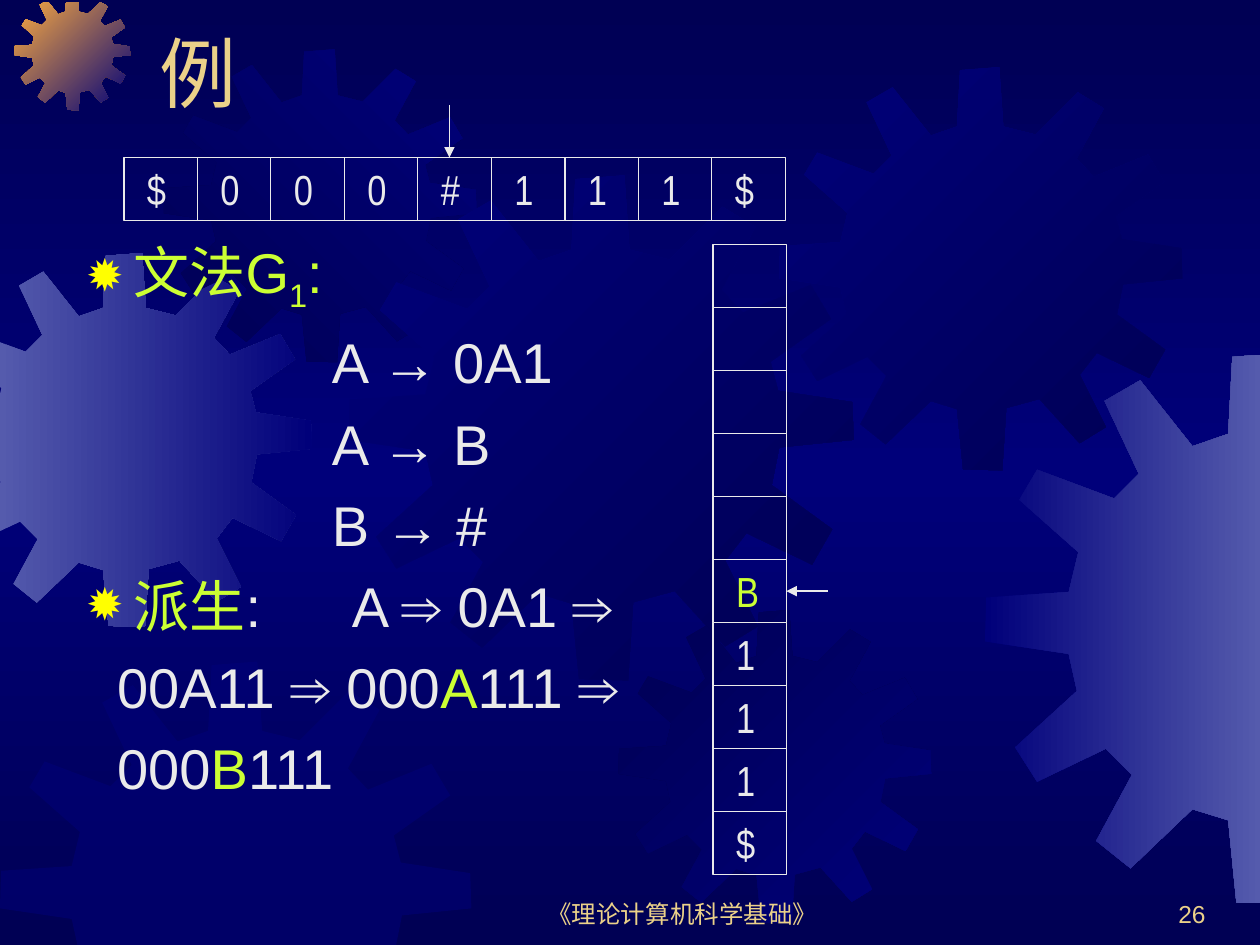
import copy
from dataclasses import dataclass

import pptx
import pptx.dml.color
import pptx.enum.shapes
import pptx.enum.text
import pptx.oxml.ns
import pptx.oxml.xmlchemy
import pptx.util
from lxml import etree

COLORS = {
    "night": "000054", "navy": "00007A", "steel": "555BAD", "amber": "FCAB40",
    "sand": "EBD189", "pale": "EAEAEA", "lime": "CCFF33", "sun": "FFFF00",
}
WIDTH, HEIGHT = pptx.util.Inches(10), pptx.util.Inches(7.5)
UNIT = WIDTH / 120
CELL_W, CELL_H = 7, 6
EDGES = ((0, -0.1, 1), (0, 120.1, -1), (1, 0.2, 1), (1, 90.5, -1))
SPAN = 401
TEETH = (
    (255, 67), (223, 59), (219, 0), (180, 3), (177, 59), (151, 68), (113, 20), (87, 35),
    (112, 88), (94, 106), (38, 85), (25, 107), (68, 145), (61, 174), (1, 178), (0, 210),
    (61, 219), (67, 246), (22, 287), (38, 312), (88, 288), (107, 307), (81, 355), (106, 375),
    (151, 332), (177, 340), (183, 400), (222, 401), (226, 339), (259, 330), (299, 374),
    (325, 358), (299, 306), (316, 284), (368, 309), (384, 281), (336, 246), (342, 216),
    (401, 210), (400, 180), (341, 171), (335, 148), (383, 114), (367, 87), (313, 109),
    (296, 91), (323, 41), (297, 25),
)


@dataclass
class Gear:
    col: float
    row: float
    size: float
    first: str
    last: str = ""
    angle: int = 0


@dataclass
class Line:
    runs: tuple
    indent: float = 0
    bullet: bool = False
    tab: float = 0


GEARS = (
    Gear(-5.9, 24.1, 35.6, "steel", "navy"),
    Gear(1.4, -0.5, 11, "amber", "navy", 45),
    Gear(15.6, 4.7, 29.8, "night", "navy", 315),
    Gear(33.2, 16.7, 48.1, "navy", "night", 45),
    Gear(0, 63, 44.9, "navy"),
    Gear(58.9, 58.1, 29.8, "night", "navy", 45),
    Gear(74.2, 6.4, 38.4, "navy", "night", 45),
    Gear(93.8, 33.6, 52.5, "navy", "steel"),
)
LINES = (
    Line((("文法G", "lime"), ("1", "lime", True), (":", "lime")), bullet=True),
    Line((("A → 0A1", "pale"),), indent=23.4),
    Line((("A → B", "pale"),), indent=23.4),
    Line((("B → #", "pale"),), indent=23.4),
    Line((("派生", "lime"), (":\tA ⇒ 0A1 ⇒", "pale")), bullet=True, tab=25.3),
    Line((("00A11 ⇒ 000", "pale"), ("A", "lime"), ("111 ⇒", "pale")), indent=2.95),
    Line((("000", "pale"), ("B", "lime"), ("111", "pale")), indent=2.95),
)


def grid(*units: float) -> list[int]:
    return [round(unit * UNIT) for unit in units]


def paint(name: str) -> pptx.dml.color.RGBColor:
    return pptx.dml.color.RGBColor.from_string(COLORS[name])


def child(parent, tag: str, **attrs: str):
    node = etree.SubElement(parent, pptx.oxml.ns.qn(f"a:{tag}"))
    for key, value in attrs.items():
        node.set(key, value)
    return node


def write(para, text: str, *, size: float, color: str, font: str = "Arial",
          sub: bool = False) -> None:
    run = para.add_run()
    run.text = text
    run.font.size = pptx.util.Pt(size)
    run.font.name = font
    run.font.color.rgb = paint(color)
    if sub:
        run.font._element.set("baseline", "-25000")


def place(shape, *box: float) -> None:
    shape.left, shape.top, shape.width, shape.height = grid(*box)


def blend(fill, first: str, last: str, angle: int) -> None:
    fill.gradient()
    fill.gradient_angle = -angle % 360
    for stop, name, spot in zip(fill.gradient_stops, (first, last), (0, 1)):
        stop.color.rgb = paint(name)
        stop.position = spot


def backdrop(slide) -> None:
    fill = slide.background.fill
    blend(fill, "night", "navy", 90)
    stops = slide.background._cSld.find(".//" + pptx.oxml.ns.qn("a:gsLst"))
    stops[1].set("pos", "50000")
    final = copy.deepcopy(stops[0])
    final.set("pos", "100000")
    stops.append(final)


def clip(points: list, axis: int, edge: float, sign: int) -> list:
    kept = []
    for here, there in zip(points, points[1:] + points[:1]):
        near, far = sign * (here[axis] - edge), sign * (there[axis] - edge)
        if near >= 0:
            kept.append(here)
        if near * far < 0:
            part = near / (near - far)
            kept.append(tuple(a + part * (b - a) for a, b in zip(here, there)))
    return kept


def draw_gear(shapes, gear: Gear) -> None:
    ratio = gear.size / SPAN
    points = [(gear.col + x * ratio, gear.row + y * ratio) for x, y in TEETH]
    for edge in EDGES:
        points = clip(points, *edge)
    start, *rest = [tuple(grid(*point)) for point in points]
    pen = shapes.build_freeform(*start)
    pen.add_line_segments(rest, close=True)
    shape = pen.convert_to_shape()
    shape.shadow.inherit = False
    shape.line.fill.background()
    if gear.last:
        blend(shape.fill, gear.first, gear.last, gear.angle)
    else:
        shape.fill.solid()
        shape.fill.fore_color.rgb = paint(gear.first)
        tone = shape._element.spPr.find(".//" + pptx.oxml.ns.qn("a:srgbClr"))
        child(tone, "alpha", val="50000")


def draw_cell(shapes, col: float, row: float, text: str, color: str = "pale"):
    cell = shapes.add_shape(pptx.enum.shapes.MSO_SHAPE.RECTANGLE,
                            *grid(col, row, CELL_W, CELL_H))
    cell.shadow.inherit = False
    cell.fill.background()
    cell.line.color.rgb = paint("pale")
    cell.line.width = pptx.util.Pt(0.75)
    if text:
        frame = cell.text_frame
        frame.margin_left, frame.margin_right = grid(2.2, 0)
        frame.vertical_anchor = pptx.enum.text.MSO_ANCHOR.TOP
        para = frame.paragraphs[0]
        para.alignment = pptx.enum.text.PP_ALIGN.LEFT
        write(para, text, size=24, color=color, font="Arial Narrow")
    return cell


def draw_arrow(shapes, ends: tuple, tip: str):
    arrow = shapes.add_connector(pptx.enum.shapes.MSO_CONNECTOR.STRAIGHT, *grid(*ends))
    arrow.line.color.rgb = paint("pale")
    arrow.line.width = pptx.util.Pt(0.75)
    child(arrow.line._get_or_add_ln(), tip, type="triangle")
    child(arrow._element.spPr, "effectLst")
    return arrow


def fill_line(para, line: Line) -> None:
    props = para._p.get_or_add_pPr()
    hang = 4.5 if line.bullet else 0
    props.set("marL", str(grid(line.indent + hang)[0]))
    props.set("indent", str(grid(-hang)[0]))
    if line.bullet:
        child(child(props, "buClr"), "srgbClr", val=COLORS["sun"])
        child(props, "buSzPct", val="80000")
        child(props, "buChar", char="✹")
    else:
        child(props, "buNone")
    if line.tab:
        child(child(props, "tabLst"), "tab", pos=str(grid(line.tab)[0]), algn="l")
    for text, color, *sub in line.runs:
        write(para, text, size=32, color=color, sub=bool(sub))


def add_note(shapes, box: tuple, text: str, align) -> None:
    frame = shapes.add_textbox(*grid(*box)).text_frame
    frame.word_wrap = True
    frame.vertical_anchor = pptx.enum.text.MSO_ANCHOR.BOTTOM
    frame.paragraphs[0].alignment = align
    write(frame.paragraphs[0], text, size=14, color="sand")


def main() -> None:
    deck = pptx.Presentation()
    deck.slide_width, deck.slide_height = WIDTH, HEIGHT
    slide = deck.slides.add_slide(deck.slide_layouts[1])
    shapes = slide.shapes
    align = pptx.enum.text.PP_ALIGN
    title, body = slide.placeholders
    backdrop(slide)
    for gear in GEARS:
        draw_gear(shapes, gear)
    add_note(shapes, (46, 83, 38, 6), "《理论计算机科学基础》", align.CENTER)
    add_note(shapes, (91, 83, 25, 6), "26", align.RIGHT)

    for holder in (title, body):
        shapes._spTree.append(holder._element)
        holder.text_frame.auto_size = pptx.enum.text.MSO_AUTO_SIZE.NONE
    place(title, 14, -3.2, 102, 15)
    title.text_frame.vertical_anchor = pptx.enum.text.MSO_ANCHOR.BOTTOM
    title.text_frame.paragraphs[0].alignment = align.LEFT
    write(title.text_frame.paragraphs[0], "例", size=44, color="sand")
    place(body, 7, 22, 62.5, 61)
    frame = body.text_frame
    for rank, line in enumerate(LINES):
        para = frame.add_paragraph() if rank else frame.paragraphs[0]
        fill_line(para, line)
        para.space_before = pptx.util.Pt(8 if rank else 0)

    for rank, mark in enumerate("$000#111$"):
        draw_cell(shapes, 11.8 + rank * CELL_W, 15, mark)
    draw_arrow(shapes, (42.8, 10, 42.8, 15), "tailEnd")
    stack = [draw_cell(shapes, 67.9, 23.3 + rank * CELL_H, mark, "lime" if mark == "B" else "pale")
             for rank, mark in enumerate([""] * 5 + list("B111$"))]
    arrow = draw_arrow(shapes, (74.9, 56.3, 78.9, 56.3), "headEnd")
    arrow.begin_connect(stack[5], 3)
    deck.save("out.pptx")


if __name__ == "__main__":
    main()
